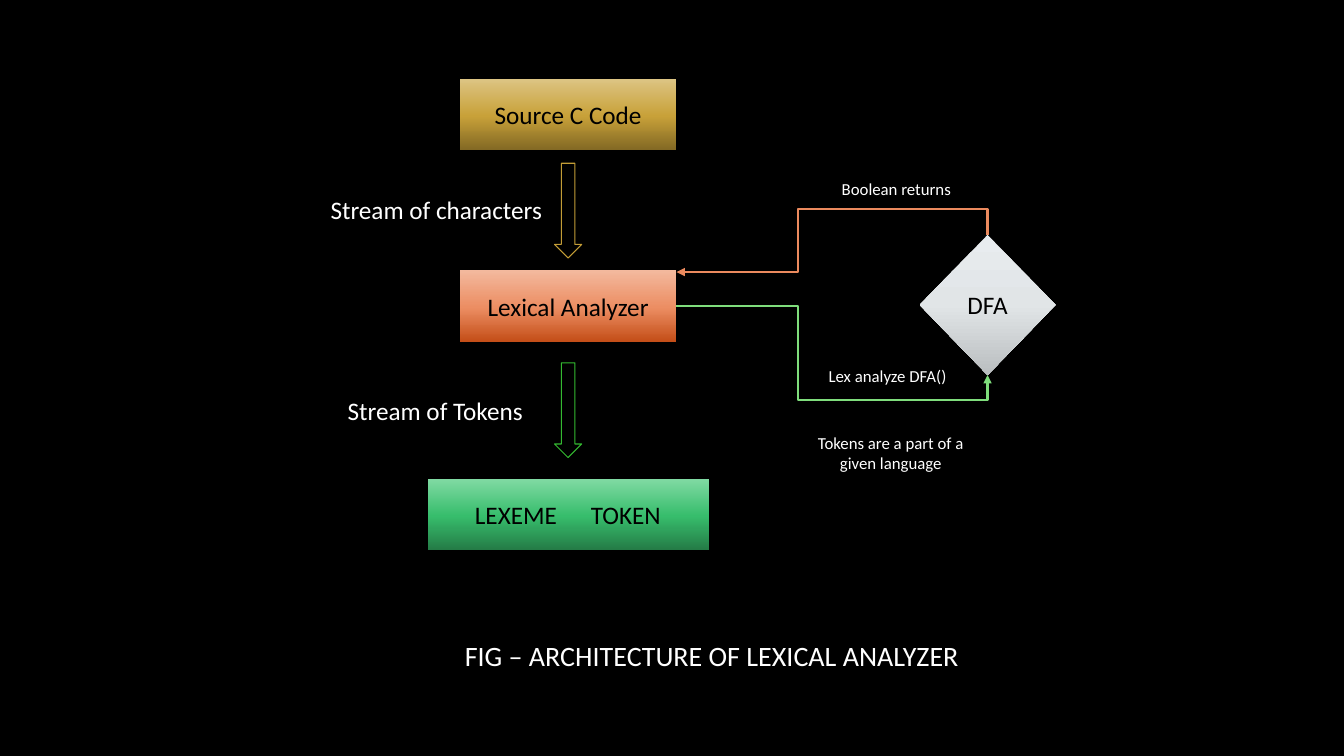
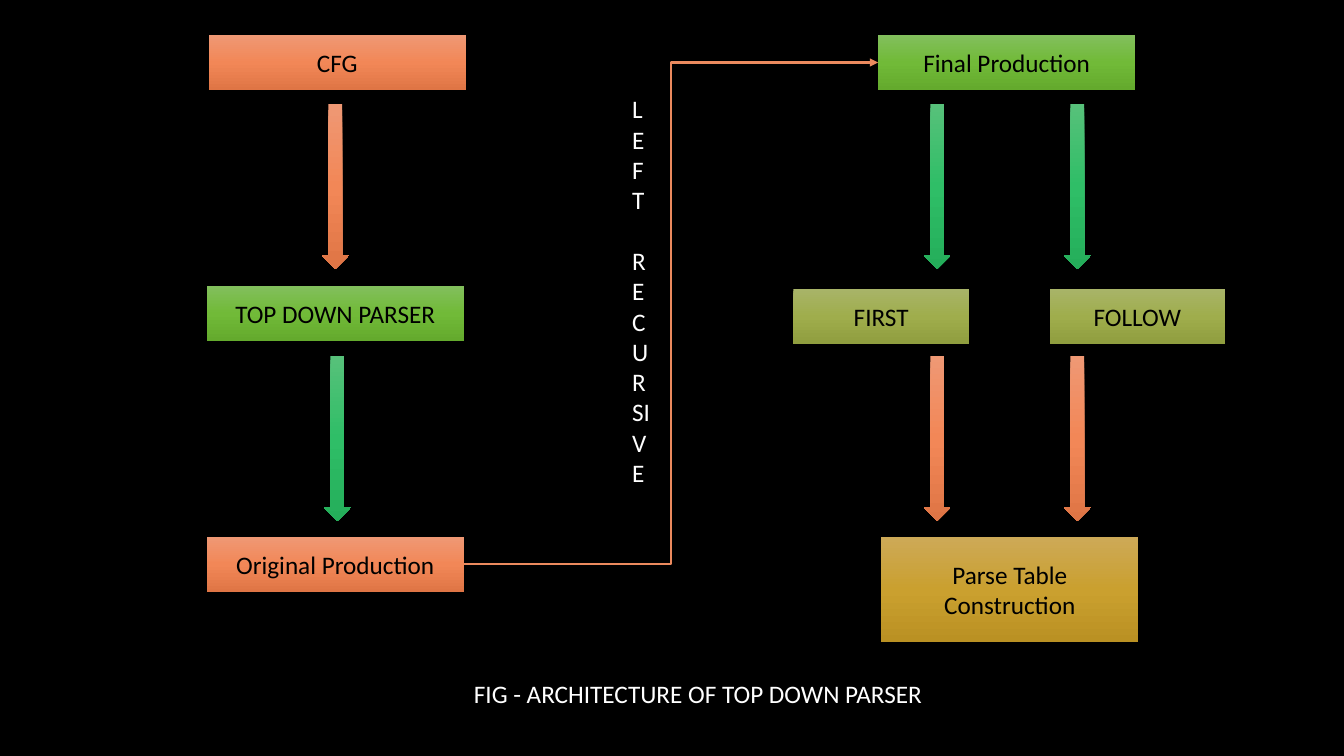
from copy import deepcopy

from lxml.etree import SubElement
from pptx import Presentation
from pptx.dml.color import RGBColor
from pptx.enum.shapes import MSO_CONNECTOR, MSO_SHAPE
from pptx.enum.text import MSO_ANCHOR, MSO_AUTO_SIZE, PP_ALIGN
from pptx.oxml.ns import qn
from pptx.util import Inches, Pt

COLORS = {
    "background": "000000",
    "dark": "000000",
    "light": "FFFFFF",
    "gold_line": "C39D36",
    "green_line": "34BA31",
    "orange_link": "EB8A5E",
    "green_link": "7FDD7C",
}
GRADIENTS = {
    "source": ("DDC584", "C8A139", "836924"),
    "analyzer": ("F3B99E", "EC8E63", "C44E18"),
    "tokens": ("80DAA3", "37BD6C", "247B46"),
    "silver": ("E8ECEF", "E1E5E7", "BABEC0"),
    "orange": ("EF9874", "F28757", "DF7545"),
    "lime": ("82BF5C", "71BA38", "64AA2D"),
    "gold": ("CDA957", "CAA02F", "BA9123"),
    "olive": ("A8B468", "9FAD4C", "909E3F"),
    "emerald": ("57C17A", "2FBE67", "24AE5A"),
}
FONT = "Calibri"


def rgb(name):
    return RGBColor.from_string(COLORS[name])


def apply(target, values):
    for name, value in values.items():
        setattr(target, name, value)


class Diagram:
    def __init__(self, deck):
        self.deck = deck
        self.slide = None
        fill = deck.slide_master.background.fill
        fill.solid()
        fill.fore_color.rgb = rgb("background")

    def start(self, caption, left, top, width, height, size):
        self.slide = self.deck.slides.add_slide(self.deck.slide_layouts[5])
        title = self.slide.shapes.title
        apply(title, {"left": Inches(left), "top": Inches(top),
                      "width": Inches(width), "height": Inches(height)})
        self.set_text(title.text_frame, [caption], size, "light", wrap=False)

    def set_text(self, frame, lines, size, color, align=PP_ALIGN.LEFT,
                 anchor=MSO_ANCHOR.TOP, wrap=True, gap=0):
        apply(frame, {"word_wrap": wrap, "vertical_anchor": anchor,
                      "auto_size": MSO_AUTO_SIZE.NONE})
        for index, line in enumerate(lines):
            paragraph = frame.add_paragraph() if index else frame.paragraphs[0]
            paragraph.text = line
            paragraph.alignment = align
            if index:
                paragraph.space_before = Pt(gap)
            apply(paragraph.font, {"name": FONT, "size": Pt(size)})
            paragraph.font.color.rgb = rgb(color)

    def shape(self, kind, left, top, width, height):
        shape = self.slide.shapes.add_shape(
            kind, Inches(left), Inches(top), Inches(width), Inches(height))
        shape.shadow.inherit = False
        return shape

    def shade(self, shape, gradient, middle=0.5):
        shape.line.fill.background()
        shape.fill.gradient()
        stops = shape._element.spPr.find(qn("a:gradFill")).find(qn("a:gsLst"))
        stops.append(deepcopy(stops[-1]))
        for stop, position, color in zip(
                shape.fill.gradient_stops, (0, middle, 1), GRADIENTS[gradient]):
            stop.position = position
            stop.color.rgb = RGBColor.from_string(color)
        shape.fill.gradient_angle = 270

    def node(self, label, left, top, width, height, gradient,
             kind=MSO_SHAPE.RECTANGLE, middle=0.5):
        node = self.shape(kind, left, top, width, height)
        self.shade(node, gradient, middle)
        self.set_text(node.text_frame, [label], 18, "dark",
                      PP_ALIGN.CENTER, MSO_ANCHOR.MIDDLE)
        return node

    def tabbed_node(self, label, left, top, width, height, gradient,
                    middle, inset, tab):
        node = self.shape(MSO_SHAPE.RECTANGLE, left, top, width, height)
        self.shade(node, gradient, middle)
        properties = node.text_frame.paragraphs[0]._p.get_or_add_pPr()
        tabs = SubElement(properties, qn("a:tabLst"))
        SubElement(tabs, qn("a:tab"), pos=str(Inches(tab)), algn="l")
        self.set_text(node.text_frame, [label], 18, "dark",
                      anchor=MSO_ANCHOR.MIDDLE)
        node.text_frame.margin_left = Inches(inset)

    def outlined_arrow(self, left, top, width, height, color):
        arrow = self.shape(MSO_SHAPE.DOWN_ARROW, left, top, width, height)
        arrow.fill.background()
        arrow.line.color.rgb = rgb(color)
        arrow.line.width = Pt(0.75)

    def filled_arrow(self, left, top, width, height, gradient):
        self.shade(self.shape(MSO_SHAPE.DOWN_ARROW, left, top, width, height),
                   gradient)

    def label(self, lines, left, top, width, height, size, **layout):
        box = self.slide.shapes.add_textbox(
            Inches(left), Inches(top), Inches(width), Inches(height))
        self.set_text(box.text_frame, lines, size, "light", **layout)

    def link(self, start, end, color, source=None, target=None,
             bends=(), turned=False):
        link = self.slide.shapes.add_connector(
            MSO_CONNECTOR.ELBOW, *(Inches(value) for value in (*start, *end)))
        if source:
            link.begin_connect(*source)
        if target:
            link.end_connect(*target)
        link.line.color.rgb = rgb(color)
        link.line.width = Pt(1.5)
        properties = link._element.spPr
        SubElement(properties.find(qn("a:ln")), qn("a:tailEnd"), type="triangle")
        SubElement(properties, qn("a:effectLst"))
        if bends:
            geometry = properties.find(qn("a:prstGeom"))
            geometry.set("prst", f"bentConnector{len(bends) + 2}")
            guides = geometry.find(qn("a:avLst"))
            if guides is None:
                guides = SubElement(geometry, qn("a:avLst"))
            for number, bend in enumerate(bends, 1):
                SubElement(guides, qn("a:gd"), name=f"adj{number}",
                           fmla=f"val {round(bend * 100000)}")
        if turned:
            shift = (link.width - link.height) // 2
            apply(link, {"left": link.left + shift, "top": link.top - shift,
                         "width": link.height, "height": link.width})
            frame = properties.find(qn("a:xfrm"))
            for name, value in {"rot": "16200000", "flipH": "1",
                                "flipV": "1"}.items():
                frame.set(name, value)


def lexical_analyzer(diagram):
    diagram.start("FIG – ARCHITECTURE OF LEXICAL ANALYZER",
                  4.51, 6.28, 5.18, 0.44, 20)
    diagram.node("Source C Code", 4.56, 0.78, 2.15, 0.71, "source", middle=0.52)
    analyzer = diagram.node("Lexical Analyzer", 4.56, 2.68, 2.15, 0.71,
                            "analyzer", middle=0.52)
    diagram.tabbed_node("LEXEME\tTOKEN", 4.24, 4.75, 2.79, 0.71, "tokens",
                        middle=0.52, inset=0.47, tab=1.15)
    for top, color in ((1.62, "gold_line"), (3.6, "green_line")):
        diagram.outlined_arrow(5.5, top, 0.27, 0.94, color)
    diagram.label(["Stream of characters"], 3.18, 1.88, 2.38, 0.4, 18, wrap=False)
    diagram.label(["Stream of Tokens"], 3.35, 3.87, 2.04, 0.4, 18, wrap=False)

    automaton = diagram.node("DFA", 9.12, 2.33, 1.35, 1.39, "silver",
                             MSO_SHAPE.DIAMOND)
    diagram.link((9.79, 2.33), (6.71, 2.7), "orange_link",
                 source=(automaton, 0), bends=(-0.69, 0.61), turned=True)
    diagram.link((6.71, 3.03), (9.79, 3.73), "green_link",
                 source=(analyzer, 3), target=(automaton, 2),
                 bends=(0.39, 1.36))
    diagram.label(["Boolean returns"], 8.25, 1.72, 1.9, 0.3, 12)
    diagram.label(["Lex analyze DFA()"], 8.12, 3.58, 1.43, 0.3, 12, wrap=False)
    diagram.label(["Tokens are a part of a given language"],
                  7.9, 4.24, 1.87, 0.5, 12, align=PP_ALIGN.CENTER)


def top_down_parser(diagram):
    diagram.start("FIG - ARCHITECTURE OF TOP DOWN PARSER",
                  4.6, 6.68, 4.69, 0.4, 18)
    wide, narrow, height = 2.55, 1.74, 0.54
    diagram.node("CFG", 2.07, 0.35, wide, height, "orange")
    diagram.node("TOP DOWN PARSER", 2.05, 2.84, wide, height, "lime")
    original = diagram.node("Original Production", 2.05, 5.33, wide, height,
                            "orange")
    final = diagram.node("Final Production", 8.71, 0.35, wide, height, "lime")
    for name, left in (("FIRST", 7.87), ("FOLLOW", 10.41)):
        diagram.node(name, left, 2.87, narrow, height, "olive")
    diagram.node("Parse Table Construction", 8.74, 5.33, wide, 1.04, "gold")
    diagram.link((4.6, 5.6), (8.71, 0.62), "orange_link",
                 source=(original, 3), target=(final, 1))

    upper, lower = 1.03, 3.53
    for left, top, gradient in (
            (3.19, upper, "orange"), (3.21, lower, "emerald"),
            (9.16, upper, "emerald"), (10.55, upper, "emerald"),
            (9.16, lower, "orange"), (10.55, lower, "orange")):
        diagram.filled_arrow(left, top, 0.27, 1.64, gradient)
    diagram.label(["LEFT", "RECURSIVE"], 6.17, 0.88, 0.38, 4.34, 18, gap=22)


def main():
    deck = Presentation()
    apply(deck, {"slide_width": Inches(13.33), "slide_height": Inches(7.5)})
    diagram = Diagram(deck)
    lexical_analyzer(diagram)
    top_down_parser(diagram)
    deck.save("out.pptx")


if __name__ == "__main__":
    main()
